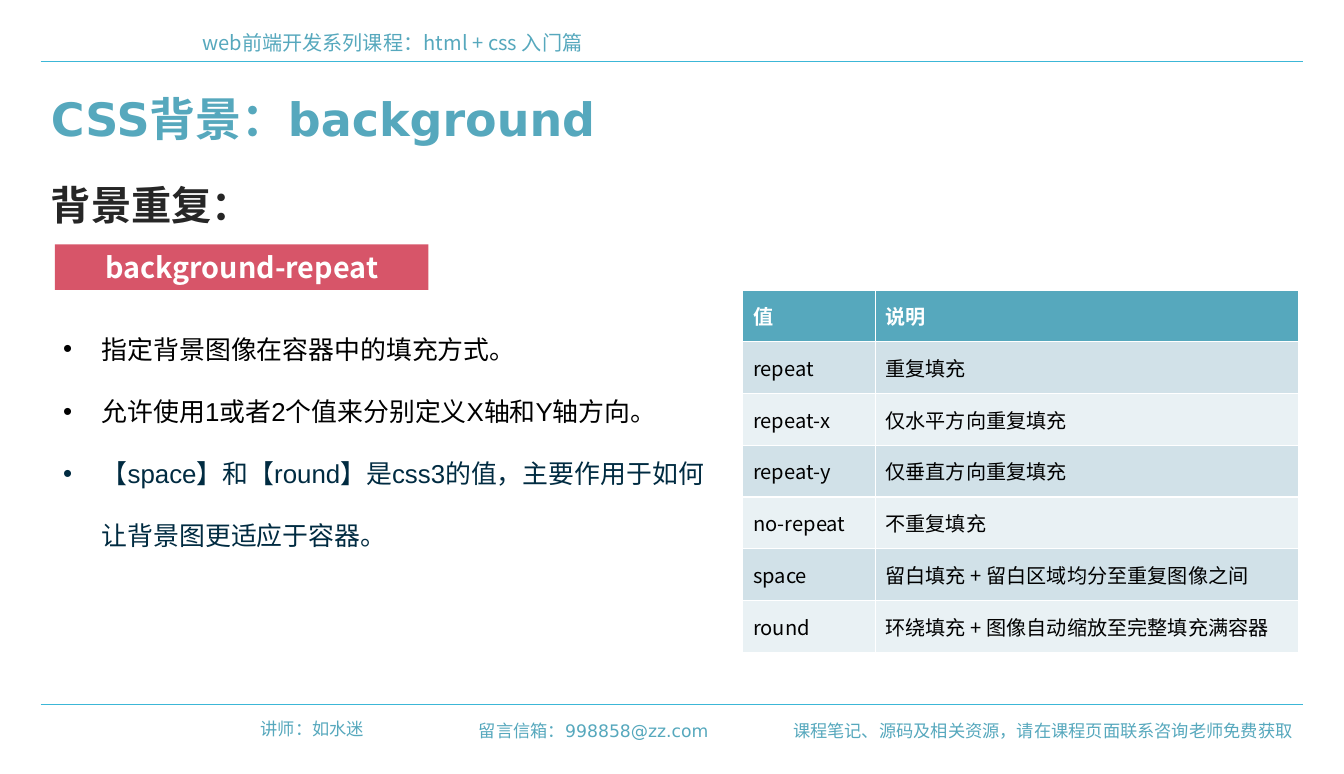
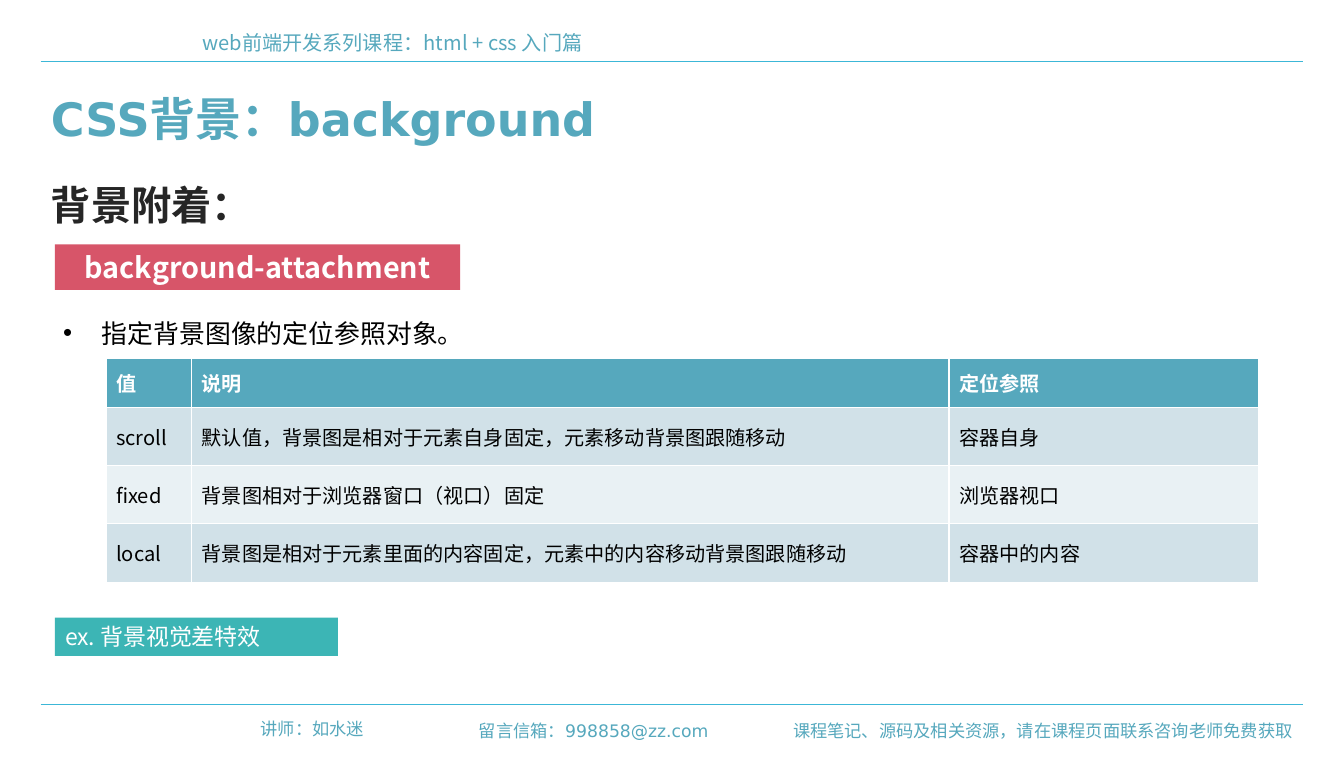
"""Build two course slides on CSS background repeat and attachment."""
from lxml import etree
from pptx import Presentation
from pptx.dml.color import RGBColor
from pptx.enum.shapes import MSO_CONNECTOR, MSO_SHAPE
from pptx.enum.text import MSO_ANCHOR, PP_ALIGN
from pptx.oxml.ns import qn
from pptx.util import Cm, Pt

LEFT, CENTER, RIGHT = PP_ALIGN.LEFT, PP_ALIGN.CENTER, PP_ALIGN.RIGHT
MIDDLE = MSO_ANCHOR.MIDDLE
RECT = MSO_SHAPE.RECTANGLE
STRAIGHT = MSO_CONNECTOR.STRAIGHT

BLUE = RGBColor(0x56, 0xA8, 0xBD)
CYAN = RGBColor(0x3C, 0xB7, 0xD7)
TEAL = RGBColor(0x3C, 0xB5, 0xB5)
RED = RGBColor(0xD7, 0x55, 0x69)
DARK = RGBColor(0x26, 0x26, 0x26)
NAVY = RGBColor(0x00, 0x2B, 0x41)
BLACK = RGBColor(0x00, 0x00, 0x00)
WHITE = RGBColor(0xFF, 0xFF, 0xFF)
BANDS = RGBColor(0xE9, 0xF1, 0xF4), RGBColor(0xD1, 0xE1, 0xE8)

NOTO, DEJA, ARIAL = "Noto Sans CJK SC", "DejaVu Sans", "Arial"


def write(par, text, size, font, color, bold=False, align=LEFT):
    par.alignment = align
    run = par.add_run()
    run.text = text
    run.font.size = Pt(size)
    run.font.name = font
    run.font.bold = bold
    run.font.color.rgb = color
    etree.SubElement(run._r.get_or_add_rPr(), qn("a:ea"), typeface=NOTO)


def place(slide, left, top, width, height, fill=None):
    area = Cm(left), Cm(top), Cm(width), Cm(height)
    if fill is None:
        frame = slide.shapes.add_textbox(*area).text_frame
    else:
        shape = slide.shapes.add_shape(RECT, *area)
        shape.shadow.inherit = False
        shape.fill.solid()
        shape.fill.fore_color.rgb = fill
        shape.line.fill.background()
        frame = shape.text_frame
        frame.vertical_anchor = MIDDLE
    frame.word_wrap = True
    return frame


RULES = 1.5, 17.3
FRAME = [
    ((4.72, 0.61, 26.7, 0.86), "web前端开发系列课程：html + css 入门篇", 14, NOTO, False, LEFT),
    ((5.69, 17.5, 3.5, 0.76), "讲师：如水迷", 12, DEJA, False, RIGHT),
    ((19.1, 17.55, 12.9, 0.76), "课程笔记、源码及相关资源，请在课程页面联系咨询老师免费获取", 12, DEJA, False, RIGHT),
    ((10.9, 17.55, 6.75, 0.76), "留言信箱：998858@zz.com", 12, DEJA, False, RIGHT),
    ((1, 2.1, 31, 1.63), "CSS背景：background", 32, DEJA, True, LEFT),
]

REPEAT = [
    ("值", "说明"),
    ("repeat", "重复填充"),
    ("repeat-x", "仅水平方向重复填充"),
    ("repeat-y", "仅垂直方向重复填充"),
    ("no-repeat", "不重复填充"),
    ("space", "留白填充 + 留白区域均分至重复图像之间"),
    ("round", "环绕填充 + 图像自动缩放至完整填充满容器"),
]
ATTACH = [
    ("值", "说明", "定位参照"),
    ("scroll", "默认值，背景图是相对于元素自身固定，元素移动背景图跟随移动", "容器自身"),
    ("fixed", "背景图相对于浏览器窗口（视口）固定", "浏览器视口"),
    ("local", "背景图是相对于元素里面的内容固定，元素中的内容移动背景图跟随移动", "容器中的内容"),
]
POINTS = [
    ("指定背景图像在容器中的填充方式。", BLACK),
    ("允许使用1或者2个值来分别定义X轴和Y轴方向。", BLACK),
    ("【space】和【round】是css3的值，主要作用于如何让背景图更适应于容器。", NAVY),
]
TARGET = [("指定背景图像的定位参照对象。", BLACK)]

PAGES = [
    ("背景重复：", "background-repeat", 9.17, POINTS, (1.3, 7.3, 16.6, 6.4),
     REPEAT, (18.24, 7.12), (3.25, 10.4), (1.27, 1.27)),
    ("背景附着：", "background-attachment", 9.95, TARGET, (1.3, 6.9, 17, 1.55),
     ATTACH, (2.6, 8.8), (2.1, 18.6, 7.6), (1.2, 1.43)),
]

deck = Presentation()
deck.slide_width, deck.slide_height = Cm(33), Cm(19)

for topic, name, span, points, area, rows, spot, cols, highs in PAGES:
    slide = deck.slides.add_slide(deck.slide_layouts[6])

    for y in RULES:
        rule = slide.shapes.add_connector(STRAIGHT, Cm(1), Cm(y), Cm(32), Cm(y))
        rule.line.color.rgb = CYAN
        rule.line.width = Pt(0.75)
        etree.SubElement(rule._element.spPr, qn("a:effectLst"))
    for box, text, size, font, bold, align in FRAME:
        write(place(slide, *box).paragraphs[0], text, size, font, BLUE, bold, align)

    write(place(slide, 1, 4.3, 16.9, 1.45).paragraphs[0], topic, 28, NOTO, DARK, True)
    badge = place(slide, 1.35, 6, span, 1.12, RED)
    write(badge.paragraphs[0], name, 20, NOTO, WHITE, True, CENTER)

    body = place(slide, *area)
    for i, (text, color) in enumerate(points):
        par = body.add_paragraph() if i else body.paragraphs[0]
        props = par._p.get_or_add_pPr()
        props.set("marL", str(Cm(0.95)))
        props.set("indent", str(-Cm(0.95)))
        etree.SubElement(props, qn("a:buFont"), typeface=ARIAL)
        etree.SubElement(props, qn("a:buChar"), char="•")
        par.line_spacing = 2.0
        write(par, text, 18, ARIAL, color)

    head, high = highs
    total = head + high * (len(rows) - 1)
    grid = slide.shapes.add_table(len(rows), len(cols), Cm(spot[0]), Cm(spot[1]),
                                  Cm(sum(cols)), Cm(total)).table
    for col, width in zip(grid.columns, cols):
        col.width = Cm(width)
    for r, row in enumerate(rows):
        grid.rows[r].height = Cm(high if r else head)
        for c, text in enumerate(row):
            cell = grid.cell(r, c)
            cell.vertical_anchor = MIDDLE
            cell.fill.solid()
            cell.fill.fore_color.rgb = BANDS[r % 2] if r else BLUE
            write(cell.text_frame.paragraphs[0], text, 14, NOTO,
                  BLACK if r else WHITE, r == 0)

demo = place(deck.slides[1], 1.35, 15.16, 6.95, 0.94, TEAL)
write(demo.paragraphs[0], "ex. 背景视觉差特效", 16, NOTO, WHITE)

deck.save("out.pptx")
